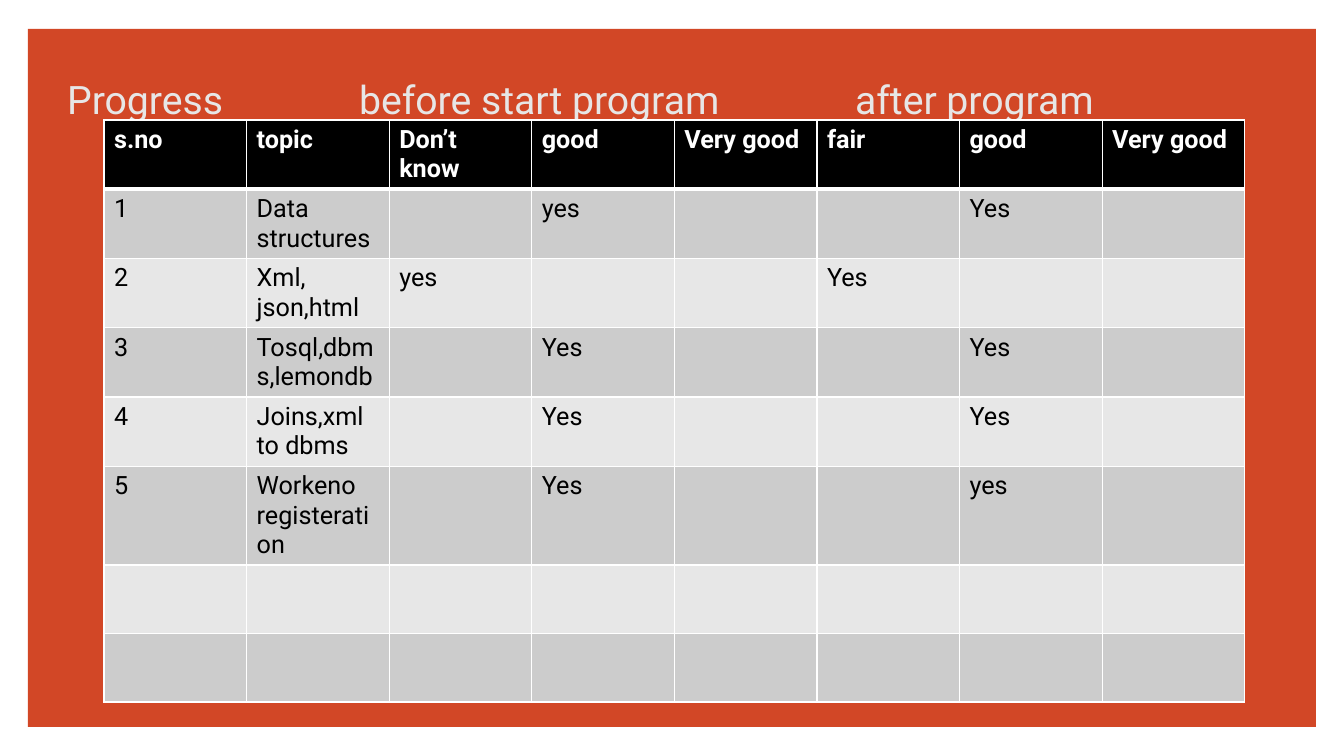
"""Build the training progress slide: a title line over a skills table."""
from lxml import etree
from pptx import Presentation
from pptx import util as u
from pptx.dml.color import RGBColor
from pptx.enum import shapes, text
from pptx.oxml.ns import qn

PX = 914400 / 100.8
FONT = "Roboto"
HEADER = ["s.no", "topic", "Don’t know", "good", "Very good", "fair", "good", "Very good"]
ROWS = [
    HEADER,
    ["1", "Data structures", "", "yes", "", "", "Yes", ""],
    ["2", "Xml, json,html", "yes", "", "", "Yes", "", ""],
    ["3", "Tosql,dbms,lemondb", "", "Yes", "", "", "Yes", ""],
    ["4", "Joins,xml to dbms", "", "Yes", "", "", "Yes", ""],
    ["5", "Workeno registeration", "", "Yes", "", "", "yes", ""],
    [""] * 8,
    [""] * 8,
]


def px(*lengths):
    return [u.Emu(round(n * PX)) for n in lengths]


def write(tf, words, size=18, color="000000", bold=False):
    p = tf.paragraphs[0]
    p.alignment = text.PP_ALIGN.LEFT
    p.font.size = u.Pt(size)
    if words:
        r = p.add_run()
        r.text = words
        r.font.name = FONT
        r.font.size = u.Pt(size)
        r.font.bold = bold
        r.font.color.rgb = RGBColor.from_string(color)
    return p


prs = Presentation()
prs.slide_width, prs.slide_height = px(1344, 756)
s = prs.slides.add_slide(prs.slide_layouts[5])

panel = s.shapes.add_shape(shapes.MSO_SHAPE.RECTANGLE, *px(28, 29, 1288, 698))
panel.shadow.inherit = False
panel.fill.solid()
panel.fill.fore_color.rgb = RGBColor.from_string("D24726")
panel.line.fill.background()
s.shapes._spTree.insert(2, panel._element)

title = s.shapes.title
title.left, title.top, title.width, title.height = px(57, 49, 1211, 79)
tf = title.text_frame
tf.word_wrap = True
tf.auto_size = text.MSO_AUTO_SIZE.NONE
tf.vertical_anchor = text.MSO_ANCHOR.BOTTOM
p = write(tf, "Progress\tbefore start program\tafter program", size=28, color="E7E6E6")
p.line_spacing = 0.9
tabs = etree.SubElement(p._p.get_or_add_pPr(), qn("a:tabLst"))
p._p.pPr.insert_element_before(tabs, "a:defRPr", "a:extLst")
for stop in px(292, 788):
    etree.SubElement(tabs, qn("a:tab"), pos=str(stop), algn="l")

table = s.shapes.add_table(len(ROWS), len(HEADER), *px(104, 120, 1141, 548)).table
for i, row in enumerate(ROWS):
    head = i == 0
    fill = "000000" if head else ("E7E7E7", "CCCCCC")[i % 2]
    for j, words in enumerate(row):
        cell = table.cell(i, j)
        write(cell.text_frame, words, color="FFFFFF" if head else "000000", bold=head)
        tcPr = cell._tc.get_or_add_tcPr()
        for side in ("lnL", "lnR", "lnT", "lnB"):
            thick = (head and side == "lnB") or (i == 1 and side == "lnT")
            ln = etree.SubElement(tcPr, qn(f"a:{side}"), w=str(u.Pt(3 if thick else 1)))
            solid = etree.SubElement(ln, qn("a:solidFill"))
            etree.SubElement(solid, qn("a:srgbClr"), val="FFFFFF")
        cell.fill.solid()
        cell.fill.fore_color.rgb = RGBColor.from_string(fill)

prs.save("out.pptx")
